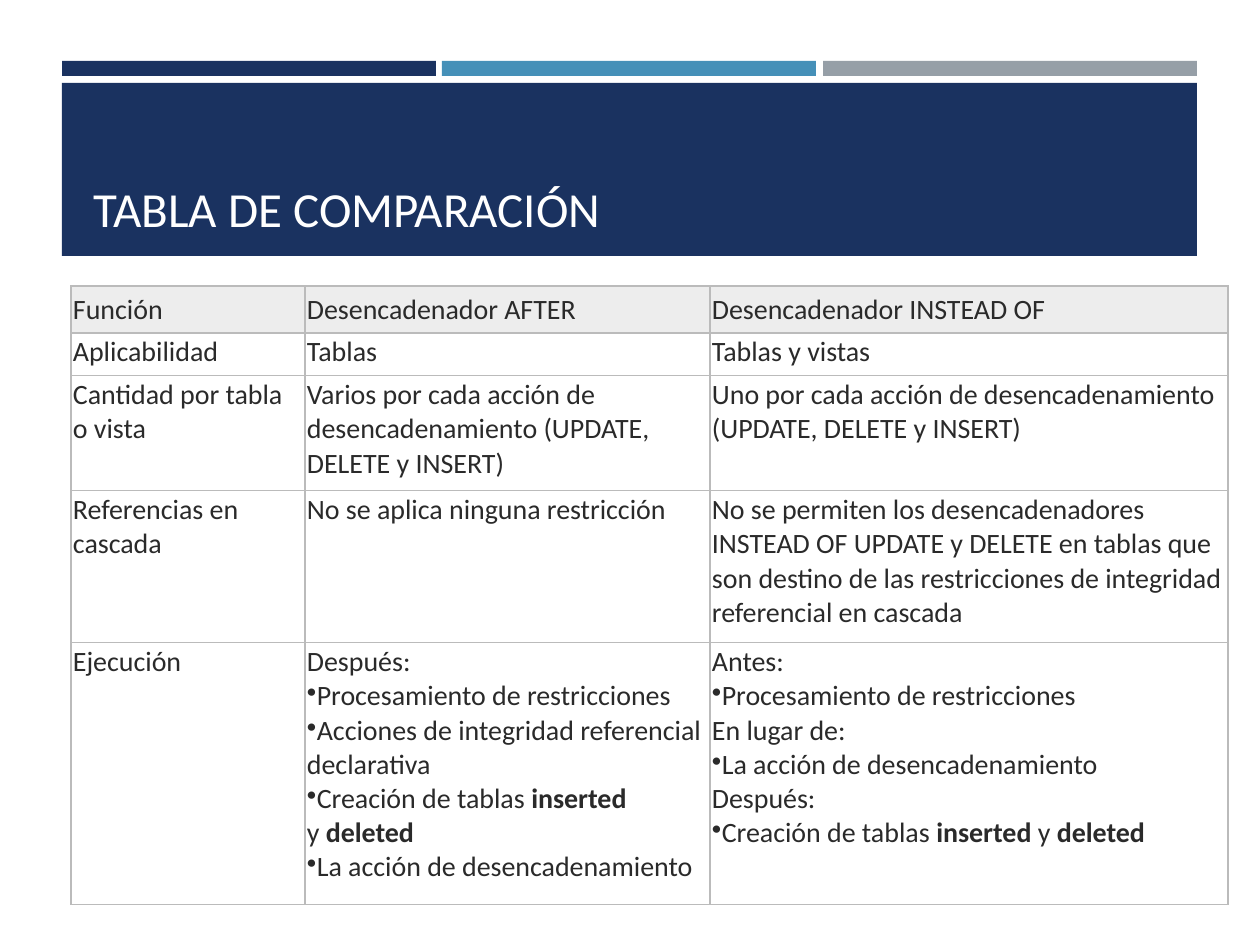
from dataclasses import dataclass

from lxml import etree
from pptx import Presentation
from pptx.dml.color import RGBColor
from pptx.enum.shapes import MSO_SHAPE
from pptx.enum.text import MSO_ANCHOR
from pptx.oxml.ns import qn
from pptx.slide import Slide
from pptx.table import _Cell
from pptx.text.text import TextFrame, _Paragraph
from pptx.util import Emu, Pt

RECTANGLE = MSO_SHAPE.RECTANGLE
TOP, MIDDLE, BOTTOM = MSO_ANCHOR.TOP, MSO_ANCHOR.MIDDLE, MSO_ANCHOR.BOTTOM
EMU_PER_PIXEL = 914400 / 126
NO_BREAK_SPACE = chr(160)
BULLET = "•"
BOLD_MARK = "**"


@dataclass(frozen=True)
class Theme:
    font: str = "Calibri"
    title_size: int = 28
    table_size: int = 16
    border_width: float = 0.75
    navy: str = "1A3260"
    blue: str = "4590B8"
    gray: str = "969FA7"
    white: str = "FFFFFF"
    text: str = "2A2A2A"
    header: str = "EDEDED"
    border: str = "BBBBBB"


@dataclass(frozen=True)
class Box:
    left: int
    top: int
    width: int
    height: int

    def emu(self) -> tuple[Emu, Emu, Emu, Emu]:
        return px(self.left), px(self.top), px(self.width), px(self.height)


@dataclass(frozen=True)
class Row:
    height: int
    cells: tuple[str, str, str]


THEME = Theme()
BANNER = Box(62, 83, 1135, 173)
TITLE = Box(81, 95, 1101, 149)
STRIPE_TOP, STRIPE_WIDTH, STRIPE_HEIGHT = 61, 374, 15
STRIPE_COLORS = (THEME.navy, THEME.blue, THEME.gray)
TABLE_LEFT, TABLE_TOP = 71, 286
CELL_MARGIN = 2
COLUMN_WIDTHS = (234, 405, 518)

ROWS = (
    Row(47, ("Función", "Desencadenador AFTER", "Desencadenador INSTEAD OF")),
    Row(43, ("Aplicabilidad", "Tablas", "Tablas y vistas")),
    Row(115, (
        "Cantidad por tabla o vista",
        "Varios por cada acción de desencadenamiento (UPDATE, DELETE y INSERT)",
        "Uno por cada acción de desencadenamiento (UPDATE, DELETE y INSERT)",
    )),
    Row(152, (
        "Referencias en cascada",
        "No se aplica ninguna restricción",
        "No se permiten los desencadenadores INSTEAD OF UPDATE y DELETE en tablas "
        "que son destino de las restricciones de integridad referencial en cascada",
    )),
    Row(262, (
        "Ejecución",
        "Después:\n"
        "•Procesamiento de restricciones\n"
        "•Acciones de integridad referencial declarativa\n"
        f"•Creación de tablas{NO_BREAK_SPACE}**inserted **y{NO_BREAK_SPACE}**deleted**\n"
        "•La acción de desencadenamiento",
        "Antes:\n"
        "•Procesamiento de restricciones\n"
        "En lugar de:\n"
        "•La acción de desencadenamiento\n"
        "Después:\n"
        f"•Creación de tablas{NO_BREAK_SPACE}**inserted**"
        f"{NO_BREAK_SPACE}y{NO_BREAK_SPACE}**deleted**",
    )),
)


def px(length: int) -> Emu:
    return Emu(round(length * EMU_PER_PIXEL))


def rgb(color: str) -> RGBColor:
    return RGBColor.from_string(color)


def draw_rectangle(slide: Slide, box: Box, color: str) -> None:
    shape = slide.shapes.add_shape(RECTANGLE, *box.emu())
    shape.shadow.inherit = False
    shape.fill.solid()
    shape.fill.fore_color.rgb = rgb(color)
    shape.line.fill.background()


def style_paragraph(paragraph: _Paragraph, size: int, color: str) -> None:
    paragraph.font.name = THEME.font
    paragraph.font.size = Pt(size)
    paragraph.font.color.rgb = rgb(color)


def add_bullet(paragraph: _Paragraph) -> None:
    properties = paragraph._p.get_or_add_pPr()
    properties.set("marL", "0")
    properties.set("indent", "0")
    bullet = etree.Element(qn("a:buChar"), char=BULLET)
    properties.insert(0, bullet)


def write_text(frame: TextFrame, text: str) -> None:
    for index, line in enumerate(text.split("\n")):
        paragraph = frame.add_paragraph() if index else frame.paragraphs[0]
        style_paragraph(paragraph, THEME.table_size, THEME.text)
        if line.startswith(BULLET):
            add_bullet(paragraph)
        for part, content in enumerate(line.removeprefix(BULLET).split(BOLD_MARK)):
            if content:
                run = paragraph.add_run()
                run.text = content
                if part % 2:
                    run.font.bold = True


def add_borders(cell: _Cell) -> None:
    properties = cell._tc.get_or_add_tcPr()
    for index, side in enumerate(("a:lnL", "a:lnR", "a:lnT", "a:lnB")):
        line = etree.Element(qn(side), w=str(Pt(THEME.border_width)))
        fill = etree.SubElement(line, qn("a:solidFill"))
        etree.SubElement(fill, qn("a:srgbClr"), val=THEME.border)
        properties.insert(index, line)


def draw_cell(cell: _Cell, text: str, is_header: bool) -> None:
    cell.margin_left = cell.margin_right = px(CELL_MARGIN)
    cell.margin_top = cell.margin_bottom = px(CELL_MARGIN)
    cell.vertical_anchor = MIDDLE if is_header else TOP
    if is_header:
        cell.fill.solid()
        cell.fill.fore_color.rgb = rgb(THEME.header)
    else:
        cell.fill.background()
    add_borders(cell)
    write_text(cell.text_frame, text)


def draw_banner(slide: Slide) -> None:
    for index, color in enumerate(STRIPE_COLORS):
        offset = index * (BANNER.width - STRIPE_WIDTH) // (len(STRIPE_COLORS) - 1)
        stripe = Box(BANNER.left + offset, STRIPE_TOP, STRIPE_WIDTH, STRIPE_HEIGHT)
        draw_rectangle(slide, stripe, color)
    draw_rectangle(slide, BANNER, THEME.navy)
    frame = slide.shapes.add_textbox(*TITLE.emu()).text_frame
    frame.word_wrap = True
    frame.vertical_anchor = BOTTOM
    paragraph = frame.paragraphs[0]
    paragraph.text = "TABLA DE COMPARACIÓN"
    style_paragraph(paragraph, THEME.title_size, THEME.white)


def draw_table(slide: Slide) -> None:
    height = sum(row.height for row in ROWS)
    box = Box(TABLE_LEFT, TABLE_TOP, sum(COLUMN_WIDTHS), height)
    table = slide.shapes.add_table(len(ROWS), len(COLUMN_WIDTHS), *box.emu()).table
    table.first_row = table.horz_banding = False
    for column, width in zip(table.columns, COLUMN_WIDTHS):
        column.width = px(width)
    for row_index, row in enumerate(ROWS):
        table.rows[row_index].height = px(row.height)
        for column_index, text in enumerate(row.cells):
            draw_cell(table.cell(row_index, column_index), text, row_index == 0)


def main() -> None:
    presentation = Presentation()
    presentation.slide_width, presentation.slide_height = px(1260), px(945)
    slide = presentation.slides.add_slide(presentation.slide_layouts[6])
    draw_banner(slide)
    draw_table(slide)
    presentation.save("out.pptx")


if __name__ == "__main__":
    main()
